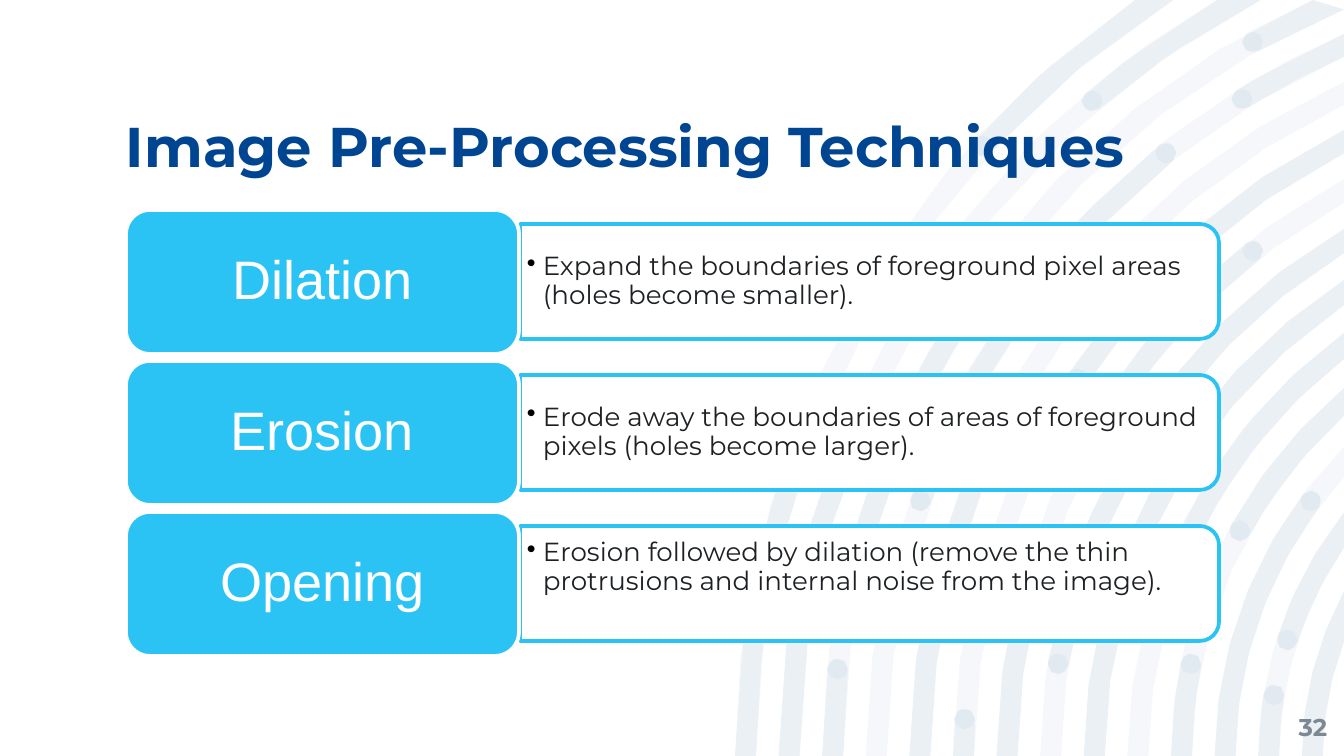
from math import acos, asin, ceil, cos, pi, radians, sin

from lxml.etree import SubElement
from pptx import Presentation
from pptx.dml.color import RGBColor
from pptx.enum.shapes import MSO_SHAPE as Shape
from pptx.enum.text import MSO_ANCHOR as Anchor, PP_ALIGN as Align
from pptx.oxml.ns import qn
from pptx.util import Pt

PX = 914400 / 134.4
WIDTH, HEIGHT = 1344, 756
NAVY, SKY, WHITE, BLACK = "004591", "2AC3F3", "FFFFFF", "000000"
INK, GREY = "1E2124", "7C8894"

# Concentric rings behind the content
CENTER_X, CENTER_Y = 1653, 758
OUTER_RADIUS, RING_STEP, RING_WIDTH = 907.5, 43.6, 21
ARC_STEP, CAP_STEP, DOT_STEP = radians(8), radians(60), radians(45)
# Strands per ring, as (lower y, upper y); None runs to the slide edge
STRANDS = [
    [(None, 470), (146, None)],
    [(None, 409), (101, None)],
    [(None, 669), (544, 294), (42, None)],
    [(501, 153), (99, None)],
    [(None, 474)],
    [(None, 719), (379, None)],
    [(None, 597), (395, 251)],
    [(664, None)],
    [(None, None)],
    [(581, None)],
    [(None, 664), (531, None)],
    [(None, 501)],
    [(None, 695), (640, None)],
    [(None, None)],
]

CARDS = [
    ("Dilation", "Expand the boundaries of foreground pixel areas (holes become smaller).", 0),
    ("Erosion", "Erode away the boundaries of areas of foreground pixels (holes become larger).", 0),
    ("Opening", "Erosion followed by dilation (remove the thin protrusions and internal noise "
                "from the image).", 32),
]


def emu(length):
    return round(length * PX)


def rgb(code):
    return RGBColor.from_string(code)


def write(frame, text, size, font, color, bold=False, align=Align.LEFT,
          anchor=Anchor.MIDDLE, insets=(0, 0, 0, 0), spacing=None):
    """Fill a text frame with one formatted paragraph and return the paragraph."""
    frame.word_wrap = True
    frame.vertical_anchor = anchor
    frame.margin_left, frame.margin_top, frame.margin_right, frame.margin_bottom = map(emu, insets)
    paragraph = frame.paragraphs[0]
    paragraph.text = text
    paragraph.alignment = align
    if spacing:
        paragraph.line_spacing = spacing
    style = paragraph.runs[0].font
    style.size, style.name, style.bold = Pt(size), font, bold
    style.color.rgb = rgb(color)
    return paragraph


def add_text(slide, box, *args, **options):
    frame = slide.shapes.add_textbox(*map(emu, box)).text_frame
    return write(frame, *args, **options)


def add_block(slide, kind, box, fill, line):
    block = slide.shapes.add_shape(kind, *map(emu, box))
    block.shadow.inherit = False
    block.fill.solid()
    block.fill.fore_color.rgb = rgb(fill)
    block.line.color.rgb = rgb(line)
    block.line.width = Pt(2)
    return block


def add_bullet(paragraph):
    props = paragraph._p.get_or_add_pPr()
    props.set("marL", str(emu(16)))
    props.set("indent", str(emu(-16)))
    SubElement(SubElement(props, qn("a:buClr")), qn("a:srgbClr"), val=BLACK)
    SubElement(props, qn("a:buChar"), char="•")


def polar(radius, angle, center=(CENTER_X, CENTER_Y)):
    return center[0] - radius * cos(angle), center[1] - radius * sin(angle)


def edge_angles(radius):
    """Angles at which a ring enters the slide at the bottom and leaves it."""
    return (asin((CENTER_Y - HEIGHT) / radius),
            min(asin(min(1, CENTER_Y / radius)), acos((CENTER_X - WIDTH) / radius)))


def arc(radius, start, end, center=(CENTER_X, CENTER_Y), step=ARC_STEP):
    count = ceil(abs(end - start) / step - 0.01)
    return [polar(radius, start + (end - start) * i / count, center) for i in range(count + 1)]


def strand_outline(radius, low=None, high=None):
    """Outline of a ring part, with a round cap at each end inside the slide."""
    half = RING_WIDTH / 2

    def ends(r):
        bottom, top = edge_angles(r)
        return (bottom if low is None else asin((CENTER_Y - low) / radius),
                top if high is None else asin((CENTER_Y - high) / radius))

    (out_start, out_end), (in_start, in_end) = ends(radius + half), ends(radius - half)
    outline = arc(radius + half, out_start, out_end)
    if high is not None:
        outline += arc(half, out_end, out_end + pi, polar(radius, out_end), CAP_STEP)[1:-1]
    outline += arc(radius - half, in_end, in_start)
    if low is not None:
        outline += arc(half, in_start + pi, in_start + 2 * pi, polar(radius, in_start),
                       CAP_STEP)[1:-1]
    return outline


def add_faint_shape(slide, outlines):
    outlines = [[(emu(x), emu(y)) for x, y in outline] for outline in outlines]
    first, *others = outlines
    builder = slide.shapes.build_freeform(*first[0])
    builder.add_line_segments(first[1:], close=True)
    for outline in others:
        builder.move_to(*outline[0])
        builder.add_line_segments(outline[1:], close=True)
    shape = builder.convert_to_shape()
    shape.shadow.inherit = False
    shape.line.fill.background()
    shape.fill.solid()
    shape.fill.fore_color.rgb = rgb(NAVY)
    color = shape._element.spPr.find(".//" + qn("a:srgbClr"))
    SubElement(color, qn("a:alpha"), val="4000")


def add_rings(slide):
    rings, strands, dots = [], [], []
    for index, parts in enumerate(STRANDS):
        radius = OUTER_RADIUS - index * RING_STEP
        rings.append(strand_outline(radius))
        for low, high in parts:
            strands.append(strand_outline(radius, low, high))
            for y in (low, high):
                if y is not None:
                    center = polar(radius, asin((CENTER_Y - y) / radius))
                    dots.append(arc(RING_WIDTH / 2, 0, 2 * pi, center, DOT_STEP)[:-1])
    for outlines in (rings, strands, dots):
        add_faint_shape(slide, outlines)


def add_card(slide, box, term, meaning, lift):
    """Place a term and its meaning; lift is extra room below the meaning."""
    left, top, width, height = box
    term_width, panel_height = 393, 115
    panel_left, panel_width = left + term_width + 1, width - term_width - 1
    turn = (panel_width - panel_height) / 2
    panel = add_block(slide, Shape.ROUND_2_SAME_RECTANGLE,
                      (panel_left + turn, top + 14 - turn, panel_height, panel_width), WHITE, SKY)
    panel.rotation = 90
    meaning_line = add_text(slide, (panel_left - 1, top + 20, panel_width - 5, 103), meaning, 14,
                            "Montserrat", INK, insets=(8, 4, 8, 4 + lift), spacing=0.9)
    add_bullet(meaning_line)
    label = add_block(slide, Shape.ROUNDED_RECTANGLE, (left, top, term_width, height), SKY, WHITE)
    write(label.text_frame, term, 29, "Arial", WHITE, align=Align.CENTER,
          insets=(23, 15, 23, 15), spacing=0.9)


def main():
    deck = Presentation()
    deck.slide_width, deck.slide_height = emu(WIDTH), emu(HEIGHT)
    slide = deck.slides.add_slide(deck.slide_layouts[6])
    slide.background.fill.solid()
    slide.background.fill.fore_color.rgb = rgb(WHITE)
    add_rings(slide)
    add_text(slide, (126, 122, 1093, 58), "Image Pre-Processing Techniques", 30, "Montserrat",
             NAVY, bold=True, anchor=Anchor.BOTTOM, spacing=0.9)
    for row, card in enumerate(CARDS):
        add_card(slide, (126, 210 + 151 * row, 1093, 144), *card)
    add_text(slide, (1246, 698, 81, 58), "32", 13, "Montserrat", GREY, bold=True, align=Align.RIGHT)
    deck.save("out.pptx")


if __name__ == "__main__":
    main()
